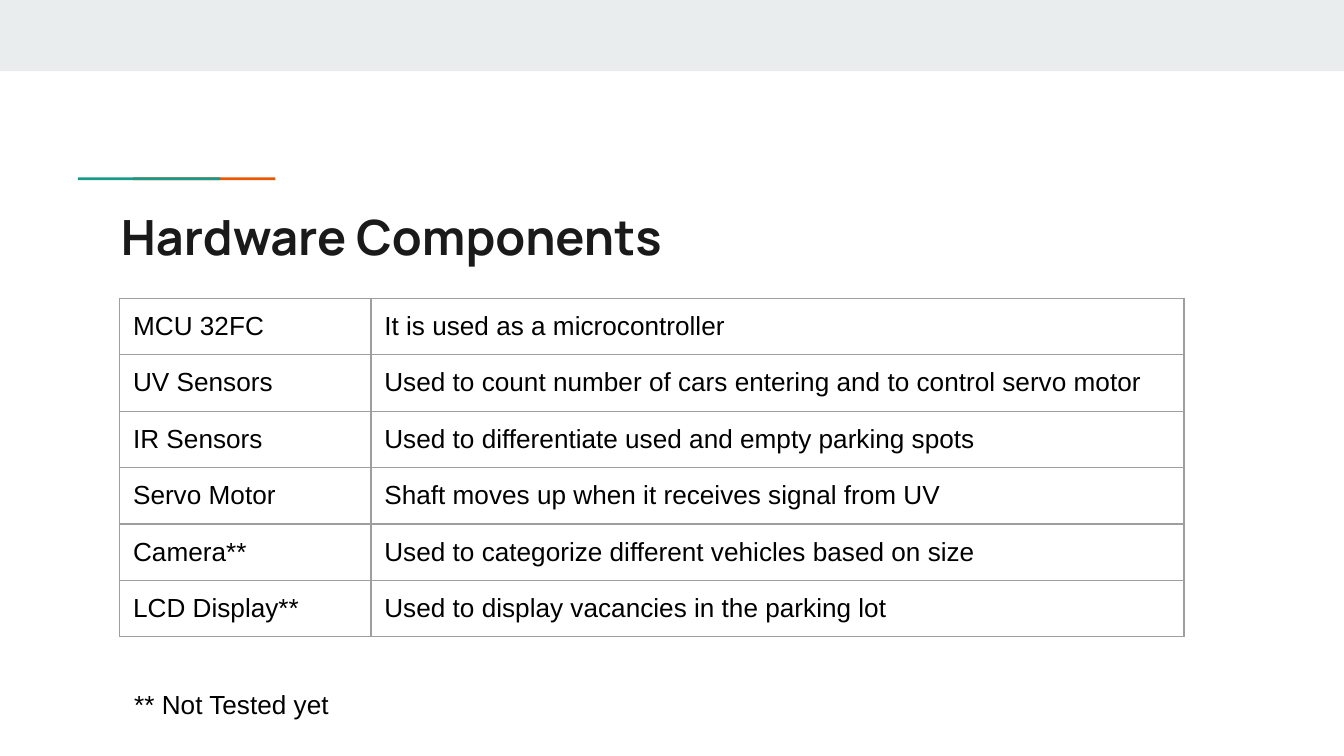
from lxml import etree
from pptx import Presentation
from pptx.dml.color import RGBColor
from pptx.enum.shapes import MSO_SHAPE
from pptx.enum.text import MSO_ANCHOR, PP_ALIGN
from pptx.oxml.ns import qn
from pptx.util import Inches, Pt

RECTANGLE = MSO_SHAPE.RECTANGLE
TOP = MSO_ANCHOR.TOP
LEFT = PP_ALIGN.LEFT

BAND = RGBColor(0xE9, 0xED, 0xEE)
ORANGE = RGBColor(0xEB, 0x56, 0x00)
GREEN = RGBColor(0x1A, 0x99, 0x88)
INK = RGBColor(0x1A, 0x1A, 0x1A)
BLACK = RGBColor(0, 0, 0)
BORDER = RGBColor(0x9E, 0x9E, 0x9E)

INSET = Inches(0.1)
ROW_HEIGHT = 0.42
COLUMN_WIDTHS = (1.87, 6.05)
COMPONENTS = (
    ("MCU 32FC", "It is used as a microcontroller"),
    ("UV Sensors", "Used to count number of cars entering and to control servo motor"),
    ("IR Sensors", "Used to differentiate used and empty parking spots"),
    ("Servo Motor", "Shaft moves up when it receives signal from UV"),
    ("Camera**", "Used to categorize different vehicles based on size"),
    ("LCD Display**", "Used to display vacancies in the parking lot"),
)


def add_bar(page, left, top, width, height, color):
    """Add a plain filled rectangle."""
    bar = page.shapes.add_shape(
        RECTANGLE, Inches(left), Inches(top), Inches(width), Inches(height)
    )
    bar.shadow.inherit = False
    bar.fill.solid()
    bar.fill.fore_color.rgb = color
    bar.line.fill.background()


def set_insets(holder):
    """Give a text frame or a table cell equal margins."""
    holder.margin_left = holder.margin_right = INSET
    holder.margin_top = holder.margin_bottom = INSET


def write(frame, text, size=14, font="Arial", color=BLACK, bold=False):
    """Put one formatted line into a text frame."""
    frame.text = text
    frame.word_wrap = True
    para = frame.paragraphs[0]
    para.alignment = LEFT
    span = para.runs[0]
    span.font.size = Pt(size)
    span.font.name = font
    span.font.color.rgb = color
    span.font.bold = bold


def fill_box(box, text, left, top, width, height, **style):
    """Place a text shape and write its line."""
    box.left, box.top = Inches(left), Inches(top)
    box.width, box.height = Inches(width), Inches(height)
    set_insets(box.text_frame)
    box.text_frame.vertical_anchor = TOP
    write(box.text_frame, text, **style)


def add_borders(cell):
    """Draw a thin line on each side of a table cell."""
    properties = cell._tc.get_or_add_tcPr()
    for side in ("a:lnL", "a:lnR", "a:lnT", "a:lnB"):
        line = etree.SubElement(properties, qn(side), w=str(Pt(0.75)))
        fill = etree.SubElement(line, qn("a:solidFill"))
        etree.SubElement(fill, qn("a:srgbClr"), val=str(BORDER))


def add_components_table(page, left, top):
    """Add the table of hardware components and their uses."""
    table = page.shapes.add_table(
        len(COMPONENTS), len(COLUMN_WIDTHS), Inches(left), Inches(top),
        Inches(sum(COLUMN_WIDTHS)), Inches(ROW_HEIGHT * len(COMPONENTS)),
    ).table
    table.first_row = False
    table.horz_banding = False
    for column, width in zip(table.columns, COLUMN_WIDTHS):
        column.width = Inches(width)
    for row, texts in zip(table.rows, COMPONENTS):
        row.height = Inches(ROW_HEIGHT)
        for cell, text in zip(row.cells, texts):
            set_insets(cell)
            add_borders(cell)
            cell.fill.background()
            write(cell.text_frame, text)


def main():
    """Build and save the hardware components slide."""
    deck = Presentation()
    deck.slide_width = Inches(10)
    deck.slide_height = deck.slide_width * 9 // 16
    page = deck.slides.add_slide(deck.slide_layouts[5])
    add_bar(page, 0, 0, 10, 0.53, BAND)
    add_bar(page, 0.99, 1.32, 1.06, 0.02, ORANGE)
    add_bar(page, 0.58, 1.32, 1.06, 0.02, GREEN)
    fill_box(page.shapes.title, "Hardware Components", 0.8, 1.44, 8.41, 0.59,
             size=26, font="Manrope", color=INK, bold=True)
    add_components_table(page, 0.89, 2.22)
    note = page.shapes.add_textbox(0, 0, 0, 0)
    fill_box(note, "** Not Tested yet", 0.9, 5.02, 2.92, 0.36)
    deck.save("out.pptx")


if __name__ == "__main__":
    main()
